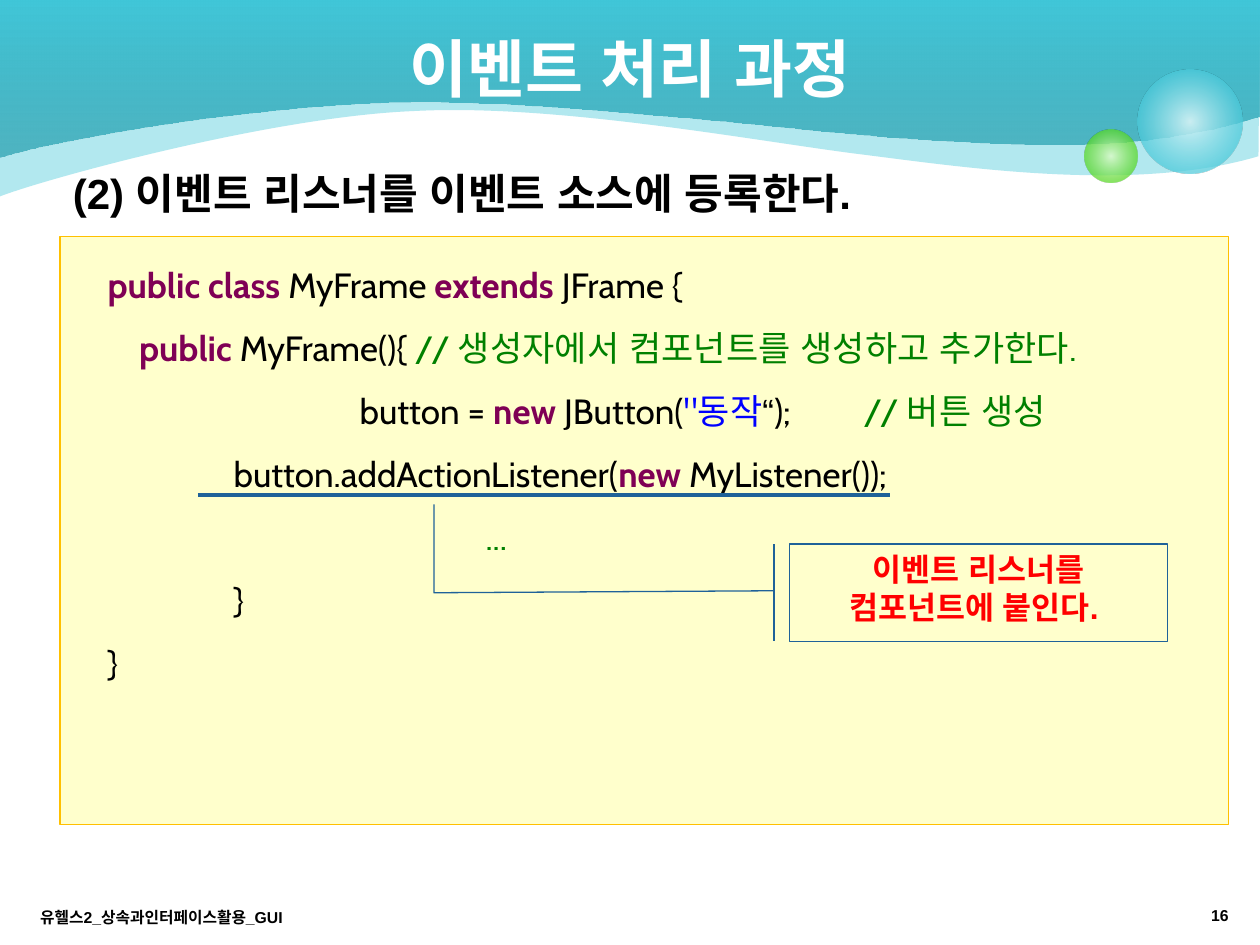
from pptx import Presentation
from pptx.dml.color import RGBColor
from pptx.enum.shapes import MSO_CONNECTOR, MSO_SHAPE
from pptx.enum.text import MSO_ANCHOR, PP_ALIGN
from pptx.oxml import parse_xml
from pptx.oxml.ns import nsdecls, qn
from pptx.oxml.xmlchemy import OxmlElement
from pptx.util import Cm, Pt

LEFT, CENTER, RIGHT = PP_ALIGN.LEFT, PP_ALIGN.CENTER, PP_ALIGN.RIGHT
TOP, MIDDLE = MSO_ANCHOR.TOP, MSO_ANCHOR.MIDDLE
RECT, OVAL = MSO_SHAPE.RECTANGLE, MSO_SHAPE.OVAL
CALLOUT = MSO_SHAPE.LINE_CALLOUT_2_BORDER_AND_ACCENT_BAR
STRAIGHT = MSO_CONNECTOR.STRAIGHT

THEME = {
    "font": "Arial", "code_font": "Cabin",
    "title": 36, "heading": 24, "code": 20, "callout": 18, "footer": 9,
    "white": "FFFFFF", "black": "000000", "red": "FF0000",
    "paper": "FFFFCC", "gold": "FFC000", "blue": "1F6299",
    "keyword": "7F0055", "plain": "000000", "comment": "008000", "string": "0000FF",
}

TITLE = "이벤트 처리 과정"
HEADING = "(2) 이벤트 리스너를 이벤트 소스에 등록한다."
NOTE = "이벤트 리스너를 컴포넌트에 붙인다. "
CODE = [
    [("public class ", "keyword"), ("MyFrame ", "plain"),
     ("extends ", "keyword"), ("JFrame {", "plain")],
    [("    public ", "keyword"), ("MyFrame(){ ", "plain"),
     ("// 생성자에서 컴포넌트를 생성하고 추가한다.", "comment")],
    [("\t  \tbutton = ", "plain"), ("new ", "keyword"), ("JButton(", "plain"),
     ("\"동작", "string"), ("“);\t", "plain"), ("// 버튼 생성", "comment")],
    [(" \tbutton.addActionListener(", "plain"), ("new ", "keyword"),
     ("MyListener());", "plain")],
    [("\t\t\t", "plain"), ("...", "comment")],
    [("\t}", "plain")],
    [("}", "plain")],
]
FOOTERS = [
    ("16", (19.1, 18.11, 5.92, 0.69), RIGHT),
    ("유헬스2_상속과인터페이스활용_GUI", (0.56, 18.14, 8.05, 0.69), LEFT),
]
WAVES = [
    ([(0, 3.96), (0.84, 3.63), (5.41, 2.36), (8.33, 2.24),
      (11.23, 2.08), (15.37, 2.87), (17.42, 3.12),
      (19.48, 3.38), (22.89, 3.89), (25.37, 3.15), (25.4, 0)],
     [(0, "40C6D8", 40)]),
    ([(0, 3.18), (1.14, 2.82), (5.16, 2.11), (8.28, 2.06),
      (11.38, 2.01), (16.71, 2.72), (18.69, 2.82),
      (20.7, 2.92), (22.89, 3.12), (25.37, 2.36), (25.4, 0)],
     [(0, "249EAE", 69), (100, "40C6D8", 100)]),
]
BUBBLES = [
    ((22.94, 1.4, 2.1, 2.1), [(0, "D9F4F7", 90), (76, "40C6D8", 70)]),
    ((21.87, 2.62, 1.06, 1.06), [(0, "DAFACD", 90), (76, "4CD416", 70)]),
]
LINEAR = '<a:lin ang="16200000" scaled="0"/>'
RADIAL = ('<a:path path="circle"><a:fillToRect l="50000" t="50000" '
          'r="50000" b="50000"/></a:path>')


def rgb(name):
    return RGBColor.from_string(THEME[name])


def box(values):
    return [Cm(v) for v in values]


def paint(sp, stops, direction):
    colors = [f'<a:srgbClr val="{c}"><a:alpha val="{a * 1000}"/></a:srgbClr>'
              for _, c, a in stops]
    if len(stops) == 1:
        xml = f'<a:solidFill {nsdecls("a")}>{colors[0]}</a:solidFill>'
    else:
        gs = "".join(f'<a:gs pos="{stop[0] * 1000}">{color}</a:gs>'
                     for stop, color in zip(stops, colors))
        xml = (f'<a:gradFill {nsdecls("a")} rotWithShape="1">'
               f'<a:gsLst>{gs}</a:gsLst>{direction}</a:gradFill>')
    sp.shadow.inherit = False
    sp.line.fill.background()
    sp.fill.background()
    spPr = sp.element.spPr
    spPr.replace(spPr.find(qn("a:noFill")), parse_xml(xml))


def add_wave(s, points, stops):
    builder = s.shapes.build_freeform(0, 0)
    builder.add_line_segments([tuple(box(pt)) for pt in points], close=True)
    sp = builder.convert_to_shape()
    lines = list(sp.element.iter(qn("a:lnTo")))[1:10]
    for i in range(0, len(lines), 3):
        curve = OxmlElement("a:cubicBezTo")
        lines[i].addprevious(curve)
        for line in lines[i:i + 3]:
            curve.append(line[0])
            line.getparent().remove(line)
    paint(sp, stops, LINEAR)


def panel(s, kind, place, line):
    sp = s.shapes.add_shape(kind, *box(place))
    sp.shadow.inherit = False
    sp.fill.solid()
    sp.fill.fore_color.rgb = rgb("paper")
    sp.line.color.rgb = rgb(line)
    sp.line.width = Pt(0.75)
    return sp


def set_font(p, latin, size):
    p.font.name = THEME[latin]
    p.font.size = Pt(THEME[size])
    ea = OxmlElement("a:ea")
    ea.set("typeface", THEME["font"])
    p._p.pPr.find(qn("a:defRPr")).find(qn("a:latin")).addnext(ea)


def write(sp, text, size, color, align, anchor):
    tf = sp.text_frame
    tf.word_wrap = True
    tf.vertical_anchor = anchor
    p = tf.paragraphs[0]
    p.text = text
    p.alignment = align
    set_font(p, "font", size)
    p.font.bold = True
    p.font.color.rgb = rgb(color)
    return p


def indent(p, left, first):
    pPr = p._p.get_or_add_pPr()
    pPr.set("marL", str(Cm(left)))
    pPr.set("indent", str(Cm(first)))
    return pPr


def add_code(s):
    tf = panel(s, RECT, (1.21, 4.77, 23.55, 11.86), "gold").text_frame
    tf.word_wrap = True
    tf.vertical_anchor = TOP
    for i, line in enumerate(CODE):
        p = tf.add_paragraph() if i else tf.paragraphs[0]
        p.alignment = LEFT
        p.line_spacing = 1.5
        indent(p, 0.71, 0).set("defTabSz", str(Cm(2.54)))
        set_font(p, "code_font", "code")
        for text, role in line:
            r = p.add_run()
            r.text = text
            r.font.bold = role == "keyword"
            r.font.color.rgb = rgb(role)


def main():
    prs = Presentation()
    prs.slide_width, prs.slide_height = Cm(25.4), Cm(19.05)
    s = prs.slides.add_slide(prs.slide_layouts[5])

    for wave in WAVES:
        add_wave(s, *wave)
    for place, stops in BUBBLES:
        paint(s.shapes.add_shape(OVAL, *box(place)), stops, RADIAL)
    add_code(s)

    title = s.shapes.title
    title.left, title.top, title.width, title.height = box((1.27, 0, 22.86, 2.72))
    write(title, TITLE, "title", "white", CENTER, MIDDLE)
    s.shapes._spTree.append(title.element)

    heading = s.shapes.add_textbox(*box((1.22, 3.45, 22.81, 0.97)))
    p = write(heading, HEADING, "heading", "black", LEFT, TOP)
    p.line_spacing = 0.8
    indent(p, 0.97, -0.97)

    underline = s.shapes.add_connector(STRAIGHT, *box((3.99, 9.98, 17.94, 9.98)))
    underline.line.color.rgb = rgb("blue")
    underline.line.width = Pt(2.25)
    underline.element.spPr.append(OxmlElement("a:effectLst"))

    callout = panel(s, CALLOUT, (15.91, 10.97, 7.62, 1.96), "blue")
    for i, value in enumerate((0.48, -0.04, 0.5, -0.94, -0.41, -0.94)):
        callout.adjustments[i] = value
    write(callout, NOTE, "callout", "red", CENTER, TOP)

    for text, place, align in FOOTERS:
        write(s.shapes.add_textbox(*box(place)), text, "footer", "black", align, MIDDLE)

    prs.save("out.pptx")


if __name__ == "__main__":
    main()
